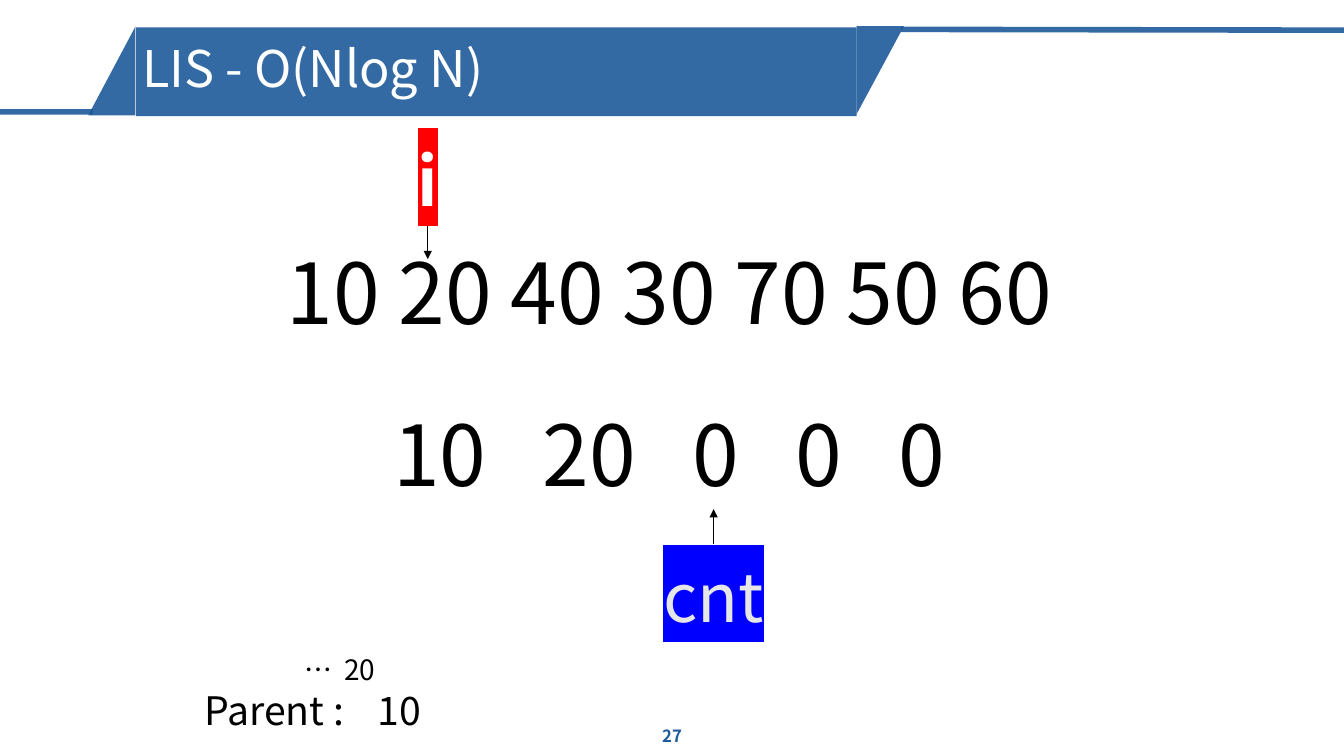
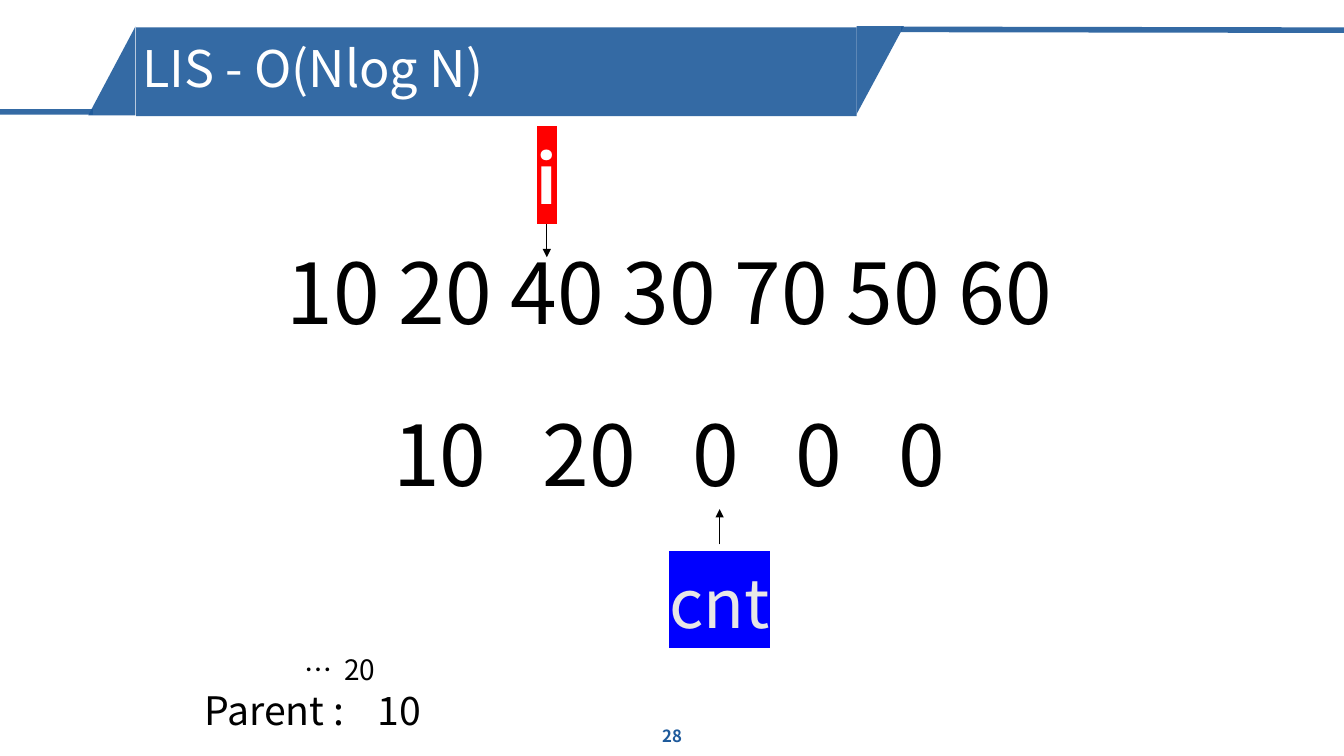
from dataclasses import dataclass
from itertools import accumulate

from lxml.etree import SubElement
from pptx import Presentation
from pptx.dml.color import RGBColor
from pptx.enum.shapes import MSO_CONNECTOR, MSO_SHAPE
from pptx.enum.text import MSO_ANCHOR, MSO_AUTO_SIZE, PP_ALIGN
from pptx.oxml.ns import qn
from pptx.util import Cm, Pt


@dataclass(frozen=True)
class Theme:
    """Colours, font and type sizes shared by the slides."""
    font: str = "Noto Sans CJK KR"
    band: str = "1E5A9B"
    band_alpha: str = "90000"
    ink: str = "000000"
    white: str = "FFFFFF"
    pale: str = "E7E6E6"
    index_mark: str = "FF0000"
    count_mark: str = "0000FF"
    title_size: int = 36
    array_size: int = 60
    marker_size: int = 48
    parent_size: int = 28
    trail_size: int = 20
    page_size: int = 12


theme = Theme()


def add_text(slide, box, text, size, color, align=PP_ALIGN.LEFT,
             anchor=MSO_ANCHOR.TOP, bold=False, highlight=None):
    """Add a text box, format its runs and return its text frame."""
    frame = slide.shapes.add_textbox(*map(Cm, box)).text_frame
    frame.word_wrap = True
    frame.vertical_anchor = anchor
    frame.text = text
    for paragraph in frame.paragraphs:
        paragraph.alignment = align
        for run in paragraph.runs:
            run.font.name = theme.font
            run.font.size = Pt(size)
            run.font.bold = bold
            run.font.color.rgb = RGBColor.from_string(color)
            properties = run.font._element
            SubElement(properties, qn("a:ea"), typeface=theme.font)
            if highlight:
                mark = SubElement(properties, qn("a:highlight"))
                SubElement(mark, qn("a:srgbClr"), val=highlight)
                properties.find(qn("a:latin")).addprevious(mark)
    return frame


def add_line(slide, ends, color, width, alpha=None, arrow=False):
    """Add a straight line, optionally translucent or with an arrowhead."""
    line = slide.shapes.add_connector(MSO_CONNECTOR.STRAIGHT, *map(Cm, ends))
    line.line.color.rgb = RGBColor.from_string(color)
    line.line.width = Pt(width)
    properties = line._element.spPr
    if alpha:
        SubElement(next(properties.iter(qn("a:srgbClr"))), qn("a:alpha"), val=alpha)
    if arrow:
        SubElement(properties.find(qn("a:ln")), qn("a:tailEnd"), type="triangle")
    SubElement(properties, qn("a:effectLst"))


band_parts = [
    (MSO_SHAPE.RIGHT_TRIANGLE, (21.08, 1.17, 2.21, 1.19), 90),
    (MSO_SHAPE.RIGHT_TRIANGLE, (1.7, 1.19, 2.24, 1.19), 270),
    (MSO_SHAPE.RECTANGLE, (3.43, 0.69, 18.16, 2.24), 0),
]
band_rules = [(2.34, 2.82, 0, 2.82), (33.87, 0.76, 22.71, 0.74)]

sequence = ["10", "20", "40", "30", "70", "50", "60"]
lis = ["10", "20", "0", "0", "0"]
lis_left, digit_width, lis_gap = 7.4, 1.175, 1.42
lis_stops = list(accumulate(
    (len(value) * digit_width + lis_gap for value in lis[:-1]), initial=lis_left))

# Page number, top left of the index marker, top left of the count marker
steps = [
    (27, (10.13, 3.38), (16.36, 13.87)),
    (28, (13.13, 3.33), (16.51, 14.02)),
]
index_width, count_width, marker_height = 1.3, 3.25, 2.31

deck = Presentation()
deck.slide_width, deck.slide_height = Cm(33.87), Cm(19.05)

for page, (index_left, index_top), (count_left, count_top) in steps:
    slide = deck.slides.add_slide(deck.slide_layouts[6])

    for outline, box, rotation in band_parts:
        part = slide.shapes.add_shape(outline, *map(Cm, box))
        part.rotation = rotation
        part.shadow.inherit = False
        part.line.fill.background()
        part.fill.solid()
        part.fill.fore_color.rgb = RGBColor.from_string(theme.band)
        SubElement(next(part._element.spPr.iter(qn("a:srgbClr"))),
                   qn("a:alpha"), val=theme.band_alpha)
    for ends in band_rules:
        add_line(slide, ends, theme.band, 4, alpha=theme.band_alpha)

    add_text(slide, (13.13, 18.03, 7.62, 1.02), str(page), theme.page_size,
             theme.band, PP_ALIGN.CENTER, MSO_ANCHOR.MIDDLE, bold=True)
    title = add_text(slide, (3.33, 0.76, 18.16, 2.06), "LIS - O(Nlog N)",
                     theme.title_size, theme.white, anchor=MSO_ANCHOR.MIDDLE)
    title.paragraphs[0].line_spacing = 0.9
    title.paragraphs[0].space_before = Pt(10)

    arrays = add_text(slide, (2.26, 6.22, 29.21, 3.68),
                      " ".join(sequence) + "\n\t" + "\t".join(lis),
                      theme.array_size, theme.ink, PP_ALIGN.CENTER)
    sequence_row, lis_row = arrays.paragraphs
    sequence_row.line_spacing = lis_row.line_spacing = 0.9
    lis_row.alignment = PP_ALIGN.LEFT
    lis_row.space_before = Pt(51)

    index = add_text(slide, (index_left, index_top, index_width, marker_height), "i",
                     theme.marker_size, theme.white, PP_ALIGN.CENTER,
                     bold=True, highlight=theme.index_mark)
    index_x = index_left + index_width / 2
    index_bottom = index_top + marker_height
    add_line(slide, (index_x, index_bottom, index_x, index_bottom + 0.84),
             theme.ink, 0.5, arrow=True)

    count = add_text(slide, (count_left, count_top, count_width, marker_height), "cnt",
                     theme.marker_size, theme.pale, PP_ALIGN.CENTER,
                     highlight=theme.count_mark)
    count_x = count_left + count_width / 2
    add_line(slide, (count_x, 13.72, count_x, 12.83), theme.ink, 0.5, arrow=True)

    parents = add_text(slide, (4.9, 16.33, 24.31, 2.31), "\t…\t20\nParent :\t10",
                       theme.parent_size, theme.ink)
    trail_row, parent_row = parents.paragraphs
    for run in trail_row.runs:
        run.font.size = Pt(theme.trail_size)

    for frame in (index, count, parents):
        frame.auto_size = MSO_AUTO_SIZE.SHAPE_TO_FIT_TEXT

    for row, stops in [(lis_row, lis_stops), (trail_row, [2.53, 3.53]),
                       (parent_row, [4.37])]:
        tabs = SubElement(row._p.get_or_add_pPr(), qn("a:tabLst"))
        for stop in stops:
            SubElement(tabs, qn("a:tab"), pos=str(Cm(stop)), algn="l")

deck.save("out.pptx")
